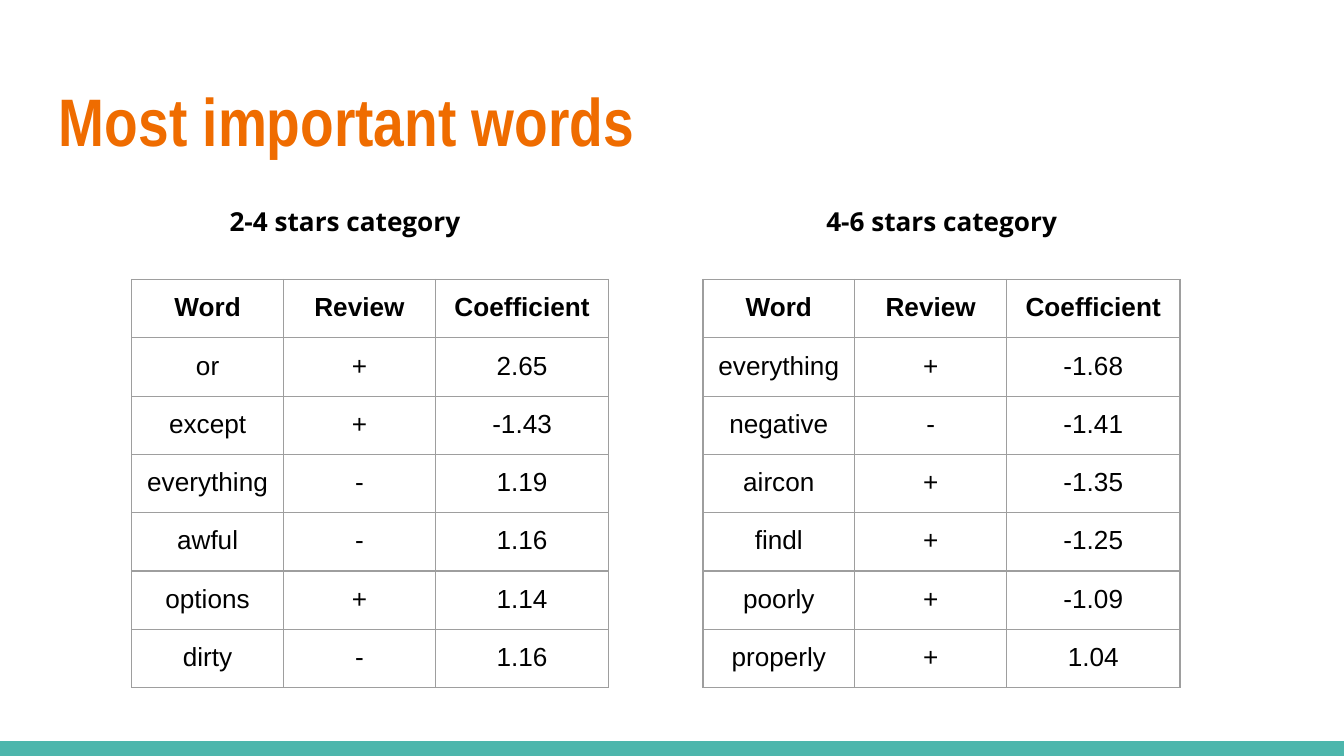
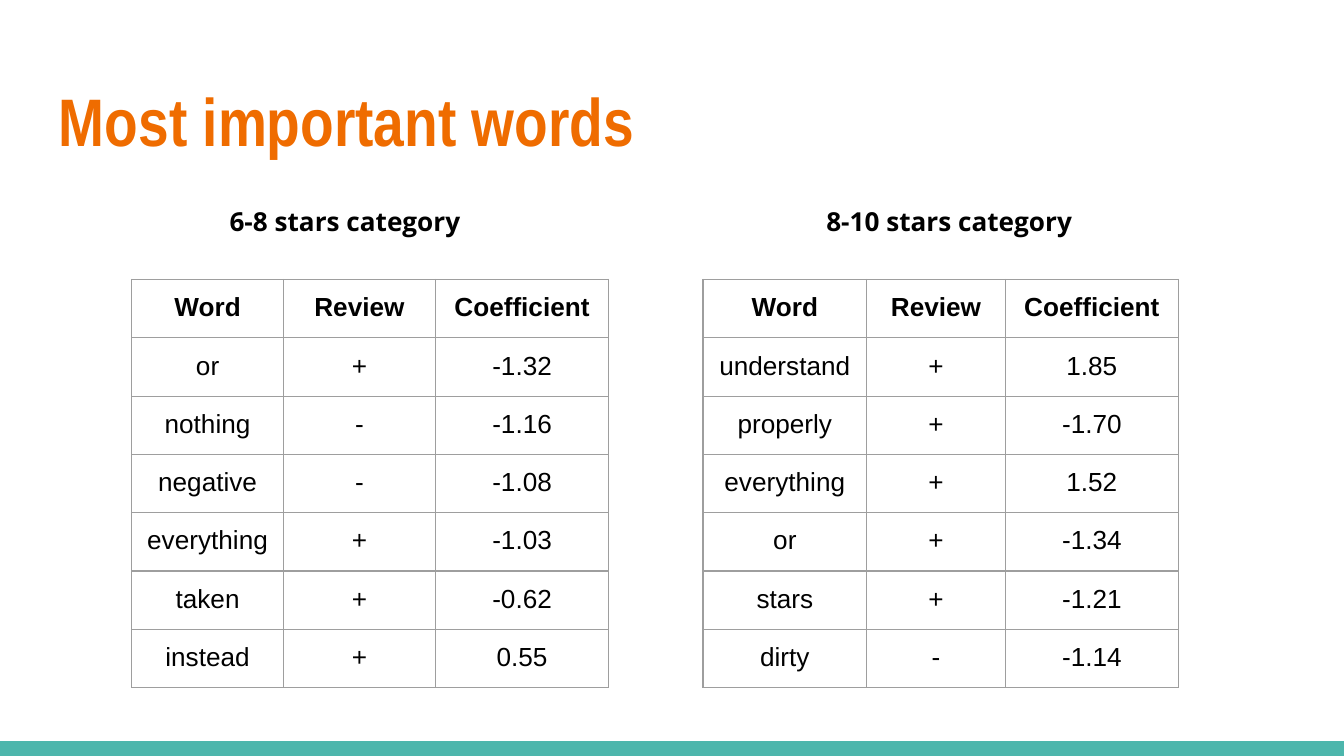
from dataclasses import dataclass

import pptx
import pptx.dml.color
import pptx.enum.shapes
import pptx.enum.text
import pptx.oxml
import pptx.oxml.ns
import pptx.slide
import pptx.table
import pptx.text.text
import pptx.util

Inches = pptx.util.Inches
Pt = pptx.util.Pt
RGBColor = pptx.dml.color.RGBColor

ORANGE = RGBColor(0xEF, 0x6C, 0x00)
TEAL = RGBColor(0x4D, 0xB6, 0xAC)
GRAY = RGBColor(0x9E, 0x9E, 0x9E)
BLACK = RGBColor(0x00, 0x00, 0x00)
WHITE = RGBColor(0xFF, 0xFF, 0xFF)

SLIDE_W = Inches(10)
SLIDE_H = SLIDE_W * 9 // 16
BAND_H = Inches(0.11)
INSET = Inches(0.1)
HEADING_TOP, HEADING_H = Inches(1.43), Inches(0.5)
TABLE_TOP, TABLE_SIZE = Inches(2.08), Inches(3.28)
ROW_H = Inches(1.25) // 3
BORDER_W = Pt(0.75)

TITLE = "Most important words"
HEADER = ("Word", "Review", "Coefficient")
EVEN_COLS = (1.13, 1.13, 1.29)
WIDE_WORD_COLS = (1.22, 1.03, 1.29)


@dataclass(frozen=True)
class Side:
    """Horizontal placement of one heading and its table, in inches."""
    heading_left: float
    heading_width: float
    table_left: float


@dataclass(frozen=True)
class Category:
    heading: str
    rows: tuple[tuple[str, str, str], ...]
    cols: tuple[float, float, float] = EVEN_COLS


SIDES = (Side(1.61, 2.35, 0.98), Side(6.05, 2.73, 5.23))

# One pair of categories per slide
SLIDES = (
    (
        Category("2-4 stars category", (
            ("or", "+", "2.65"),
            ("except", "+", "-1.43"),
            ("everything", "-", "1.19"),
            ("awful", "-", "1.16"),
            ("options", "+", "1.14"),
            ("dirty", "-", "1.16"),
        )),
        Category("4-6 stars category", (
            ("everything", "+", "-1.68"),
            ("negative", "-", "-1.41"),
            ("aircon", "+", "-1.35"),
            ("findl", "+", "-1.25"),
            ("poorly", "+", "-1.09"),
            ("properly", "+", "1.04"),
        )),
    ),
    (
        Category("6-8 stars category", (
            ("or", "+", "-1.32"),
            ("nothing", "-", "-1.16"),
            ("negative", "-", "-1.08"),
            ("everything", "+", "-1.03"),
            ("taken", "+", "-0.62"),
            ("instead", "+", "0.55"),
        )),
        Category("8-10 stars category", (
            ("understand", "+", "1.85"),
            ("properly", "+", "-1.70"),
            ("everything", "+", "1.52"),
            ("or", "+", "-1.34"),
            ("stars", "+", "-1.21"),
            ("dirty", "-", "-1.14"),
        ), WIDE_WORD_COLS),
    ),
)


def set_font(p: pptx.text.text._Paragraph, name: str, size: float,
             color: RGBColor, bold: bool) -> None:
    p.font.name = name
    p.font.size = Pt(size)
    p.font.color.rgb = color
    p.font.bold = bold


def add_text(s: pptx.slide.Slide, text: str, left: int, top: int, width: int,
             height: int, name: str, size: float, color: RGBColor) -> None:
    """Add a bold, left-aligned line of text."""
    tf = s.shapes.add_textbox(left, top, width, height).text_frame
    tf.word_wrap = True
    tf.margin_left = tf.margin_top = tf.margin_right = tf.margin_bottom = INSET
    p = tf.paragraphs[0]
    p.text = text
    set_font(p, name, size, color, True)


def set_borders(cell: pptx.table._Cell) -> None:
    tc_pr = cell._tc.get_or_add_tcPr()
    ns = pptx.oxml.ns.nsdecls("a")
    # Border lines come before the fill in the cell properties
    for i, edge in enumerate(("lnL", "lnR", "lnT", "lnB")):
        tc_pr.insert(i, pptx.oxml.parse_xml(
            f'<a:{edge} {ns} w="{BORDER_W}"><a:solidFill>'
            f'<a:srgbClr val="{GRAY}"/></a:solidFill></a:{edge}>'))


def fill_cell(cell: pptx.table._Cell, text: str, bold: bool) -> None:
    cell.margin_left = cell.margin_top = INSET
    cell.margin_right = cell.margin_bottom = INSET
    cell.fill.background()
    set_borders(cell)
    p = cell.text_frame.paragraphs[0]
    p.text = text
    p.alignment = pptx.enum.text.PP_ALIGN.CENTER
    set_font(p, "Arial", 14, BLACK, bold)


def add_word_table(s: pptx.slide.Slide, category: Category, left: float) -> None:
    rows = (HEADER, *category.rows)
    frame = s.shapes.add_table(len(rows), len(HEADER), Inches(left), TABLE_TOP,
                               TABLE_SIZE, TABLE_SIZE)
    table = frame.table
    table.first_row = table.horz_banding = False
    for column, width in zip(table.columns, category.cols):
        column.width = Inches(width)
    for i, row in enumerate(rows):
        table.rows[i].height = ROW_H
        for j, text in enumerate(row):
            fill_cell(table.cell(i, j), text, bold=i == 0)
    # Row and column sizes reset the frame, so its size comes last
    frame.width = frame.height = TABLE_SIZE


def add_base(s: pptx.slide.Slide) -> None:
    """Draw the background, bottom band and title shared by the slides."""
    s.background.fill.solid()
    s.background.fill.fore_color.rgb = WHITE
    sp = s.shapes.add_shape(pptx.enum.shapes.MSO_SHAPE.RECTANGLE,
                            0, SLIDE_H - BAND_H, SLIDE_W, BAND_H)
    sp.shadow.inherit = False
    sp.fill.solid()
    sp.fill.fore_color.rgb = TEAL
    sp.line.fill.background()
    add_text(s, TITLE, Inches(0.34), Inches(0.49), Inches(9.32), Inches(0.77),
             "Arial Narrow", 36, ORANGE)


def main() -> None:
    prs = pptx.Presentation()
    prs.slide_width, prs.slide_height = SLIDE_W, SLIDE_H
    for categories in SLIDES:
        s = prs.slides.add_slide(prs.slide_layouts[6])
        add_base(s)
        for side, category in zip(SIDES, categories):
            add_text(s, category.heading, Inches(side.heading_left), HEADING_TOP,
                     Inches(side.heading_width), HEADING_H, "Open Sans", 14, BLACK)
            add_word_table(s, category, side.table_left)
    prs.save("out.pptx")


if __name__ == "__main__":
    main()
